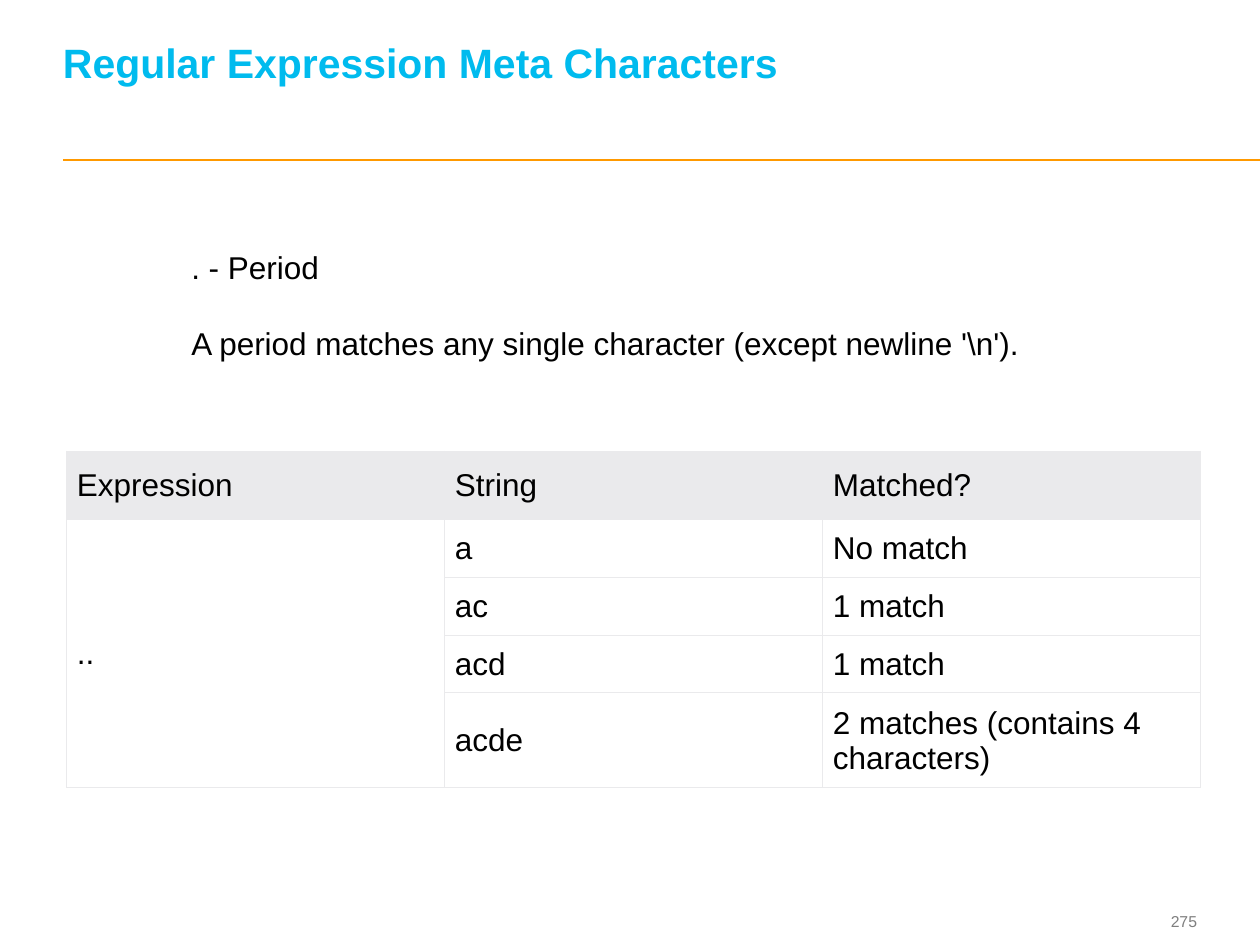
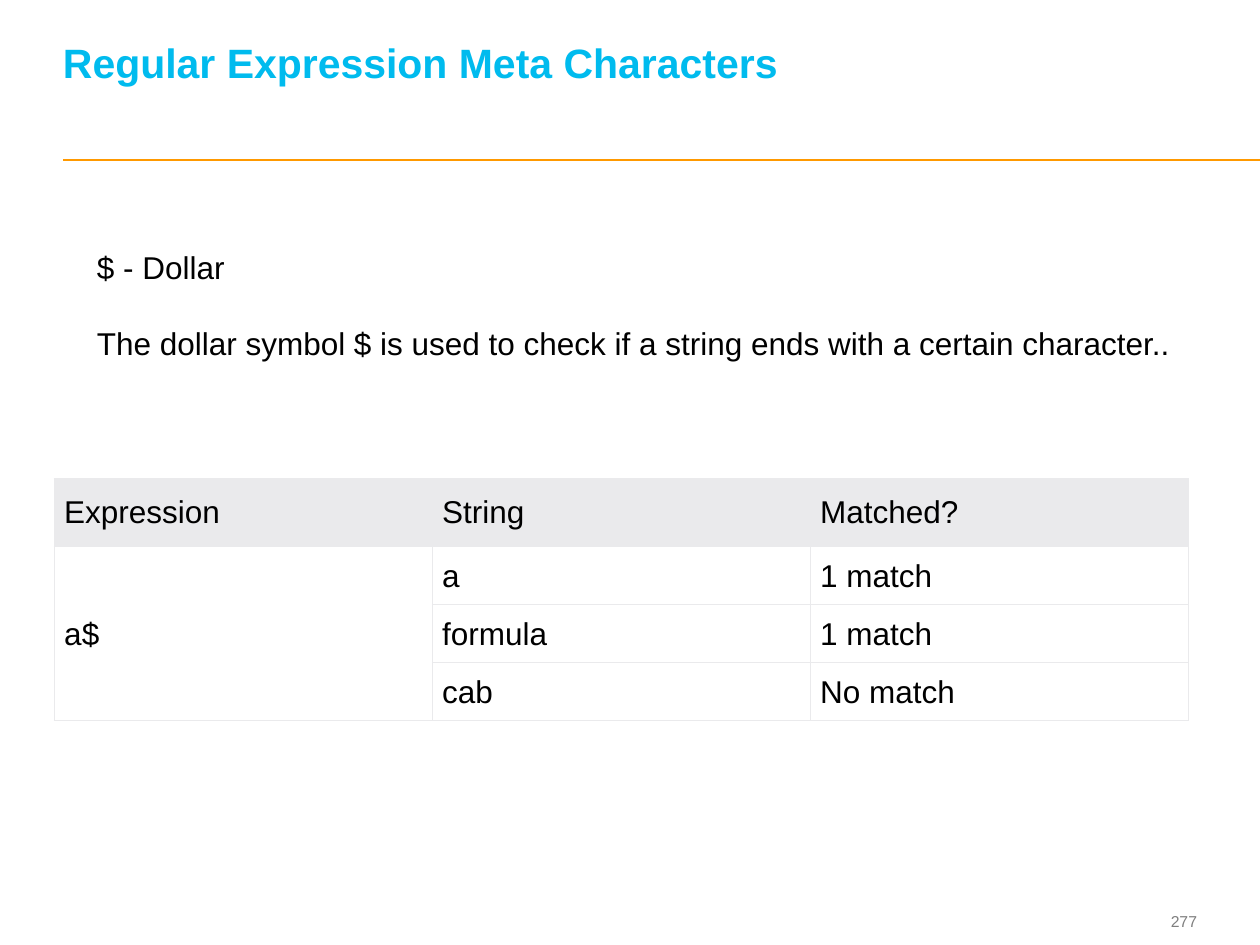
import pptx
import pptx.util
import pptx.dml.color
import pptx.enum.text
import pptx.enum.shapes
import pptx.oxml
import lxml.etree

Inches = pptx.util.Inches
Pt = pptx.util.Pt
ANCHOR = pptx.enum.text.MSO_ANCHOR
ALIGN = pptx.enum.text.PP_ALIGN

TITLE = "Regular Expression Meta Characters"
HEADS = ["Expression", "String", "Matched?"]
SLIDES = [
    {
        "page": "275",
        "lines": [". - Period",
                  "A period matches any single character (except newline '\\n')."],
        "box": (1.42, 1.92, 6.83, 1.01),
        "start": (0.53, 3.58),
        "term": "..",
        "tests": [("a", "No match"), ("ac", "1 match"), ("acd", "1 match"),
                  ("acde", "2 matches (contains 4 characters)")],
        "tall": [0.46, 0.46, 0.46, 0.75],
    },
    {
        "page": "277",
        "lines": ["$ - Dollar",
                  "The dollar symbol $ is used to check if a string ends with a certain character.."],
        "box": (0.67, 1.92, 8.72, 1.01),
        "start": (0.43, 3.8),
        "term": "a$",
        "tests": [("a", "1 match"), ("formula", "1 match"), ("cab", "No match")],
        "tall": [0.46, 0.46, 0.46],
    },
]

FONT = "Arial"
BLACK, WHITE, GREY = "000000", "FFFFFF", "7F7F7F"
BLUE, GOLD, PALE = "00BBEE", "FF9900", "EAEAEC"
HEAD_TALL, COL_WIDE = 0.54, 3
NS = "http://schemas.openxmlformats.org/drawingml/2006/main"


def color(code):
    return pptx.dml.color.RGBColor.from_string(code)


def style(frame, size, code, bold=False):
    for para in frame.paragraphs:
        for run in para.runs:
            run.font.name = FONT
            run.font.size = Pt(size)
            run.font.bold = bold
            run.font.color.rgb = color(code)


def inset(item, left, top, right, bottom):
    item.margin_left, item.margin_top = Inches(left), Inches(top)
    item.margin_right, item.margin_bottom = Inches(right), Inches(bottom)


def add_text(slide, place, lines, size, code, bold=False):
    box = slide.shapes.add_textbox(*map(Inches, place))
    frame = box.text_frame
    frame.word_wrap = True
    frame.text = "\n".join(lines)
    style(frame, size, code, bold)
    return frame


def add_frame(slide, page):
    rule = slide.shapes.add_connector(
        pptx.enum.shapes.MSO_CONNECTOR.STRAIGHT,
        Inches(0.5), Inches(1.27), Inches(10), Inches(1.27))
    rule.line.color.rgb = color(GOLD)
    rule.line.width = Pt(1)
    lxml.etree.SubElement(rule._element.spPr, f"{{{NS}}}effectLst")

    num = add_text(slide, (8.91, 7.18, 0.59, 0.27), [page], 9, GREY)
    inset(num, 0, 0, 0, 0)
    num.vertical_anchor = ANCHOR.MIDDLE
    num.paragraphs[0].alignment = ALIGN.RIGHT

    title = add_text(slide, (0.5, 0.19, 8.97, 0.86), [TITLE], 23.4, BLUE, True)
    inset(title, 0, 0, 0, 0.36)
    title.vertical_anchor = ANCHOR.BOTTOM
    title.paragraphs[0].line_spacing = Pt(26)


def add_body(slide, place, lines):
    frame = add_text(slide, place, lines, 18, BLACK)
    frame.word_wrap = False
    frame.auto_size = pptx.enum.text.MSO_AUTO_SIZE.SHAPE_TO_FIT_TEXT
    for para in frame.paragraphs[1:]:
        para.space_before = Pt(22)


def add_edges(cell):
    props = cell._tc.get_or_add_tcPr()
    for side in "LRTB":
        props.append(pptx.oxml.parse_xml(
            f'<a:ln{side} xmlns:a="{NS}" w="{Pt(0.6)}"><a:solidFill>'
            f'<a:srgbClr val="{PALE}"/></a:solidFill></a:ln{side}>'))


def add_grid(slide, start, term, tests, tall):
    rows = [HEADS] + [(term if i == 0 else "", *test) for i, test in enumerate(tests)]
    highs = [HEAD_TALL] + tall
    place = (*start, COL_WIDE * len(HEADS), sum(highs))
    grid = slide.shapes.add_table(len(rows), len(HEADS), *map(Inches, place)).table
    grid.horz_banding = False
    for r, row in enumerate(rows):
        grid.rows[r].height = Inches(highs[r])
        for c, text in enumerate(row):
            cell = grid.cell(r, c)
            cell.text_frame.text = text
            style(cell.text_frame, 18, BLACK)
            cell.vertical_anchor = ANCHOR.MIDDLE
            if r == 0:
                inset(cell, 0.08, 0.12, 0.07, 0.12)
            else:
                inset(cell, 0.08, 0.08, 0.07, 0.07)
            add_edges(cell)
            cell.fill.solid()
            cell.fill.fore_color.rgb = color(PALE if r == 0 else WHITE)
    grid.cell(1, 0).merge(grid.cell(len(tests), 0))


def main():
    deck = pptx.Presentation()
    deck.slide_width, deck.slide_height = Inches(10), Inches(7.5)
    for data in SLIDES:
        slide = deck.slides.add_slide(deck.slide_layouts[6])
        add_frame(slide, data["page"])
        add_body(slide, data["box"], data["lines"])
        add_grid(slide, data["start"], data["term"], data["tests"], data["tall"])
    deck.save("out.pptx")


if __name__ == "__main__":
    main()
